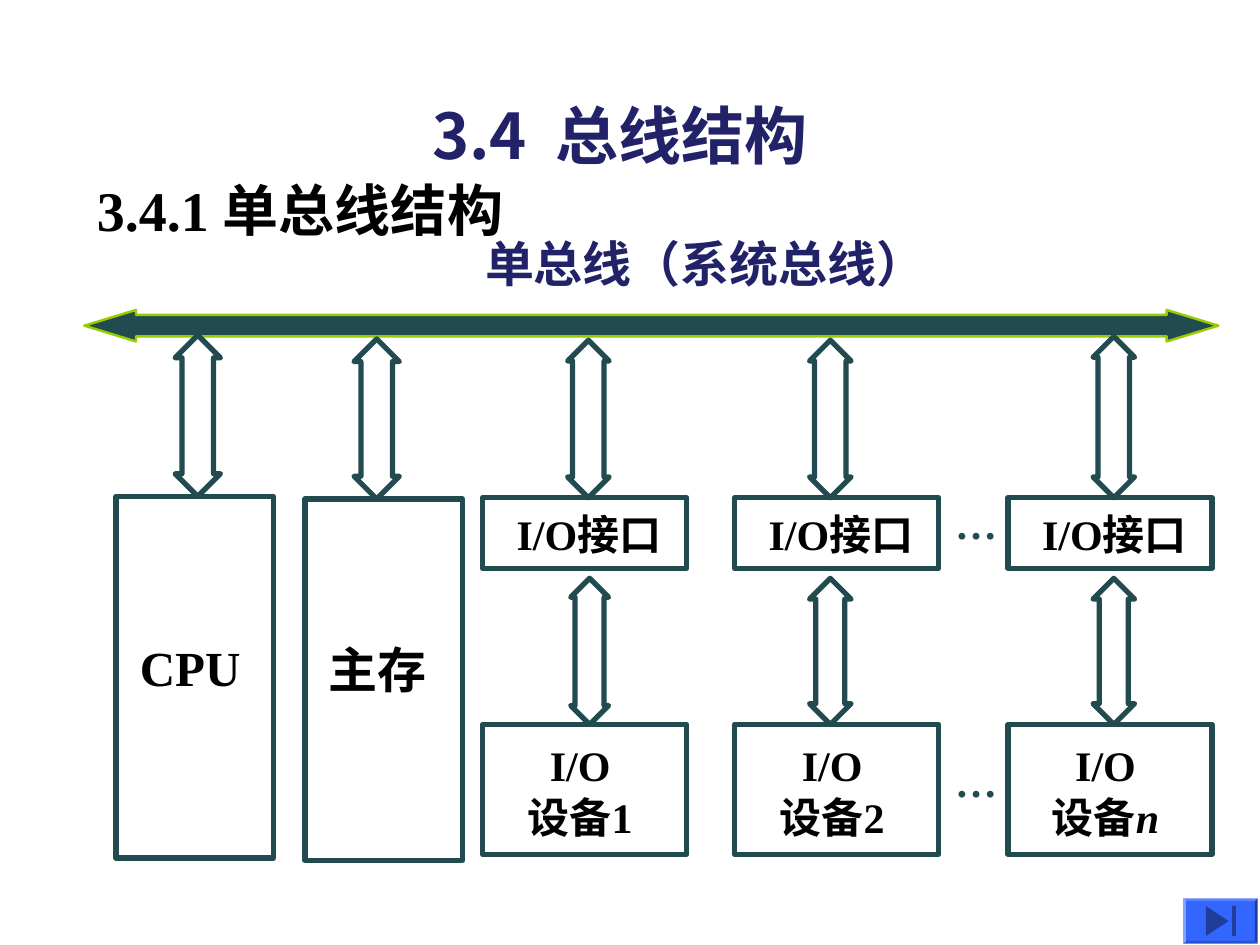
from dataclasses import dataclass

from lxml.etree import SubElement
from pptx import Presentation
from pptx.dml.color import RGBColor
from pptx.enum.shapes import MSO_SHAPE as Shape
from pptx.enum.text import MSO_ANCHOR as Anchor, PP_ALIGN as Align
from pptx.oxml.ns import qn
from pptx.util import Inches, Pt


@dataclass(frozen=True)
class Theme:
    heading: str = "222268"
    ink: str = "000000"
    bus: str = "224B50"
    bus_edge: str = "99CC00"
    button: str = "3366FF"
    button_icon: str = "1F3D99"
    latin: str = "Times New Roman"
    cjk: str = "Noto Sans CJK SC"
    title_size: int = 36
    section_size: int = 32
    unit_size: int = 28
    io_size: int = 24
    io_spacing: int = 30
    outline: float = 3
    bus_outline: float = 1.39


THEME = Theme()


def apply(target, values):
    for name, value in values.items():
        setattr(target, name, value)


def place(shape, left, top, width, height):
    apply(shape, {"left": Inches(left), "top": Inches(top),
                  "width": Inches(width), "height": Inches(height)})


def write(frame, lines, size, color=THEME.ink, latin=THEME.latin, align=Align.LEFT,
          anchor=Anchor.TOP, insets=(0, 0, 0, 0), wrap=True, spacing=None):
    """Fill a frame; each line is a list of (text, italic) runs."""
    left, top, right, bottom = (Inches(inset) for inset in insets)
    apply(frame, {"word_wrap": wrap, "vertical_anchor": anchor, "margin_left": left,
                  "margin_top": top, "margin_right": right, "margin_bottom": bottom})
    for index, line in enumerate(lines):
        paragraph = frame.add_paragraph() if index else frame.paragraphs[0]
        apply(paragraph, {"alignment": align, "line_spacing": spacing and Pt(spacing)})
        for text, italic in line:
            run = paragraph.add_run()
            run.text = text
            apply(run.font, {"size": Pt(size), "bold": True, "italic": italic, "name": latin})
            run.font.color.rgb = RGBColor.from_string(color)
            SubElement(run.font._element, qn("a:ea"), typeface=THEME.cjk)


def add_label(slide, box, text, size, **style):
    label = slide.shapes.add_textbox(*map(Inches, box))
    write(label.text_frame, [[(text, False)]], size, **style)


def add_figure(slide, kind, box, fill=None, line=None, width=THEME.outline, adjust=()):
    figure = slide.shapes.add_shape(kind, *map(Inches, box))
    figure.shadow.inherit = False
    for index, value in enumerate(adjust):
        figure.adjustments[index] = value
    for part, color in ((figure.fill, fill), (figure.line.fill, line)):
        if color:
            part.solid()
            part.fore_color.rgb = RGBColor.from_string(color)
        else:
            part.background()
    if line:
        figure.line.width = Pt(width)
    return figure


def add_unit(slide, box, lines, size, **style):
    unit = add_figure(slide, Shape.RECTANGLE, box, line=THEME.bus)
    write(unit.text_frame, lines, size, **style)


def add_link(slide, center, top, bottom, width=0.33):
    box = (center - width / 2, top, width, bottom - top)
    link = add_figure(slide, Shape.UP_DOWN_ARROW, box, line=THEME.bus,
                      adjust=(0.5, 0.25 / width if bottom < 5 else 0.23 / width))
    SubElement(link.line._get_or_add_ln(), qn("a:round"))


def add_headings(slide):
    title = slide.shapes.title
    place(title, 0.67, 0.44, 8.5, 1.25)
    write(title.text_frame, [[("3.4  总线结构", False)]], THEME.title_size, THEME.heading,
          THEME.cjk, Align.CENTER, Anchor.MIDDLE, (0.1, 0.05, 0.1, 0.05))
    add_label(slide, (0.67, 1.39, 5.02, 0.64), "3.4.1 单总线结构", THEME.section_size,
              insets=(0.1, 0, 0.1, 0))
    add_label(slide, (3.85, 1.85, 3.5, 0.47), "单总线（系统总线）", THEME.unit_size,
              color=THEME.heading, latin=THEME.cjk, wrap=False)


def add_core_units(slide):
    units = (("CPU", 0.92, 3.94, 1.57, 2.66), ("主存", 2.42, 3.96, 2.99, 2.69))
    for name, left, top, center, link_top in units:
        add_unit(slide, (left, top, 1.25, 2.87), [[(name, False)]], THEME.unit_size,
                 anchor=Anchor.MIDDLE, insets=(0.19, 0, 0.1, 0.17))
        add_link(slide, center, link_top, top, 0.36)


def add_io_columns(slide):
    # Column left, device number, link centres and link tops
    columns = ((3.83, "1", 4.67, 4.68, 2.7, 0.3),
               (5.83, "2", 6.59, 6.59, 2.7, 0.33),
               (8, "n", 8.84, 8.84, 2.67, 0.33))
    for left, number, upper, lower, link_top, lower_width in columns:
        add_unit(slide, (left, 3.95, 1.62, 0.56), [[("I/O接口", False)]], THEME.io_size,
                 insets=(0.27, 0.07, 0, 0), spacing=THEME.io_spacing)
        device = [[("I/O", False)], [("设备", False), (number, number == "n")]]
        add_unit(slide, (left, 5.75, 1.62, 1.03), device, THEME.io_size, align=Align.CENTER,
                 insets=(0.1, 0.1, 0.17, 0), spacing=THEME.io_spacing)
        add_link(slide, upper, link_top, 3.95)
        add_link(slide, lower, 4.59, 5.75, lower_width)
    for top in (3.95, 6):
        add_label(slide, (7.58, top, 0.42, 0.4), "…", THEME.io_size, color=THEME.bus)


def add_end_button(slide):
    add_figure(slide, Shape.BEVEL, (9.39, 7.13, 0.59, 0.36), THEME.button, adjust=(0.06,))
    arrow = add_figure(slide, Shape.ISOSCELES_TRIANGLE, (9.54, 7.22, 0.24, 0.18),
                       THEME.button_icon)
    arrow.rotation = 90
    add_figure(slide, Shape.RECTANGLE, (9.78, 7.19, 0.03, 0.24), THEME.button_icon)


def main():
    deck = Presentation()
    apply(deck, {"slide_width": Inches(10), "slide_height": Inches(7.5)})
    slide = deck.slides.add_slide(deck.slide_layouts[5])
    add_headings(slide)
    # System bus
    add_figure(slide, Shape.LEFT_RIGHT_ARROW, (0.67, 2.46, 9, 0.25), THEME.bus,
               THEME.bus_edge, THEME.bus_outline, (0.68, 1.64))
    # Units on the bus
    add_core_units(slide)
    add_io_columns(slide)
    # Navigation
    add_end_button(slide)
    deck.save("out.pptx")


if __name__ == "__main__":
    main()
